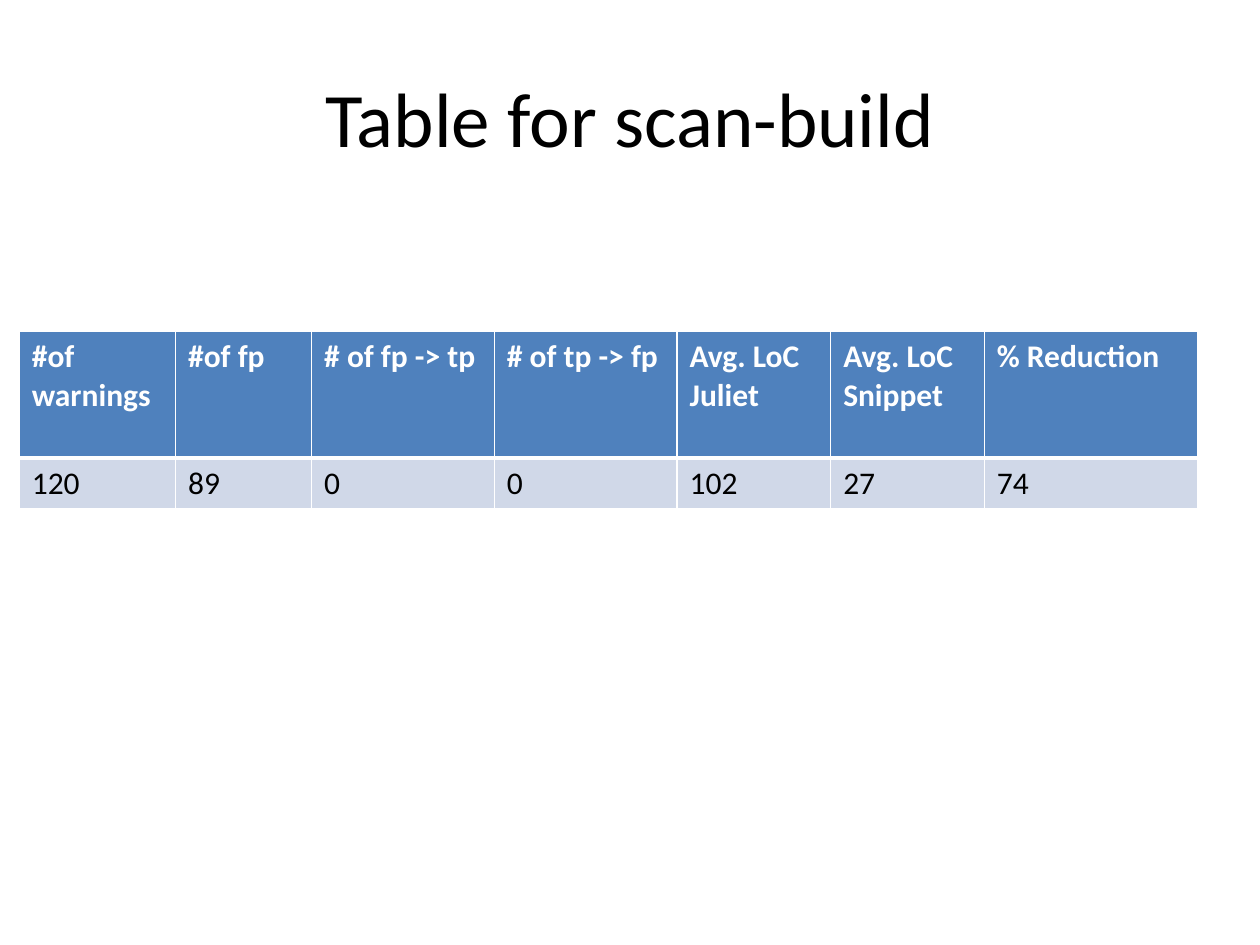
"""Build the scan-build results slide: a title and a table of warning counts."""
import pptx
import pptx.dml.color
import pptx.enum.text
import pptx.oxml.ns
import pptx.util
from lxml import etree

WHITE = pptx.dml.color.RGBColor(0xFF, 0xFF, 0xFF)
BLACK = pptx.dml.color.RGBColor(0x00, 0x00, 0x00)
HEADER_BLUE = pptx.dml.color.RGBColor(0x4F, 0x81, 0xBD)
BODY_BLUE = pptx.dml.color.RGBColor(0xD0, 0xD8, 0xE8)

FONT = "Calibri"
COLUMNS = [
    ("#of warnings", "120", 89.3),
    ("#of fp", "89", 77.8),
    ("# of fp -> tp", "0", 104.4),
    ("# of tp -> fp", "0", 104.4),
    ("Avg. LoC\nJuliet", "102", 87.8),
    ("Avg. LoC\nSnippet", "27", 87.8),
    ("% Reduction", "74", 121.7),
]
ROW_HEIGHTS = [72.3, 29.2]


def add_run(paragraph, text, size, color, bold=False):
    run = paragraph.add_run()
    run.text = text
    run.font.name = FONT
    run.font.size = pptx.util.Pt(size)
    run.font.bold = bold
    run.font.color.rgb = color


def add_title(slide, text):
    title = slide.shapes.title
    title.left, title.top = pptx.util.Pt(36), pptx.util.Pt(21.6)
    title.width, title.height = pptx.util.Pt(648), pptx.util.Pt(90)
    title.text_frame.vertical_anchor = pptx.enum.text.MSO_ANCHOR.MIDDLE
    heading = title.text_frame.paragraphs[0]
    heading.alignment = pptx.enum.text.PP_ALIGN.CENTER
    add_run(heading, text, 44, BLACK)


def set_borders(cell, widths):
    properties = cell._tc.get_or_add_tcPr()
    for side, width in widths.items():
        border = etree.SubElement(
            properties, pptx.oxml.ns.qn(f"a:ln{side}"), w=str(pptx.util.Pt(width))
        )
        fill = etree.SubElement(border, pptx.oxml.ns.qn("a:solidFill"))
        etree.SubElement(fill, pptx.oxml.ns.qn("a:srgbClr"), val=str(WHITE))


def fill_cell(cell, text, is_header):
    set_borders(
        cell, {"L": 1, "R": 1, "T": 1 if is_header else 3, "B": 3 if is_header else 1}
    )
    cell.fill.solid()
    cell.fill.fore_color.rgb = HEADER_BLUE if is_header else BODY_BLUE
    frame = cell.text_frame
    for index, line in enumerate(text.split("\n")):
        paragraph = frame.add_paragraph() if index else frame.paragraphs[0]
        add_run(paragraph, line, 18, WHITE if is_header else BLACK, is_header)


def add_results_table(slide):
    results = slide.shapes.add_table(
        len(ROW_HEIGHTS),
        len(COLUMNS),
        pptx.util.Pt(11),
        pptx.util.Pt(189.5),
        pptx.util.Pt(sum(width for _, _, width in COLUMNS)),
        pptx.util.Pt(sum(ROW_HEIGHTS)),
    ).table
    for row, height in zip(results.rows, ROW_HEIGHTS):
        row.height = pptx.util.Pt(height)
    for index, (header, value, width) in enumerate(COLUMNS):
        results.columns[index].width = pptx.util.Pt(width)
        fill_cell(results.cell(0, index), header, True)
        fill_cell(results.cell(1, index), value, False)


def main():
    deck = pptx.Presentation()
    deck.slide_width, deck.slide_height = pptx.util.Pt(720), pptx.util.Pt(540)
    slide = deck.slides.add_slide(deck.slide_layouts.get_by_name("Title Only"))
    add_title(slide, "Table for scan-build")
    add_results_table(slide)
    deck.save("out.pptx")


if __name__ == "__main__":
    main()
